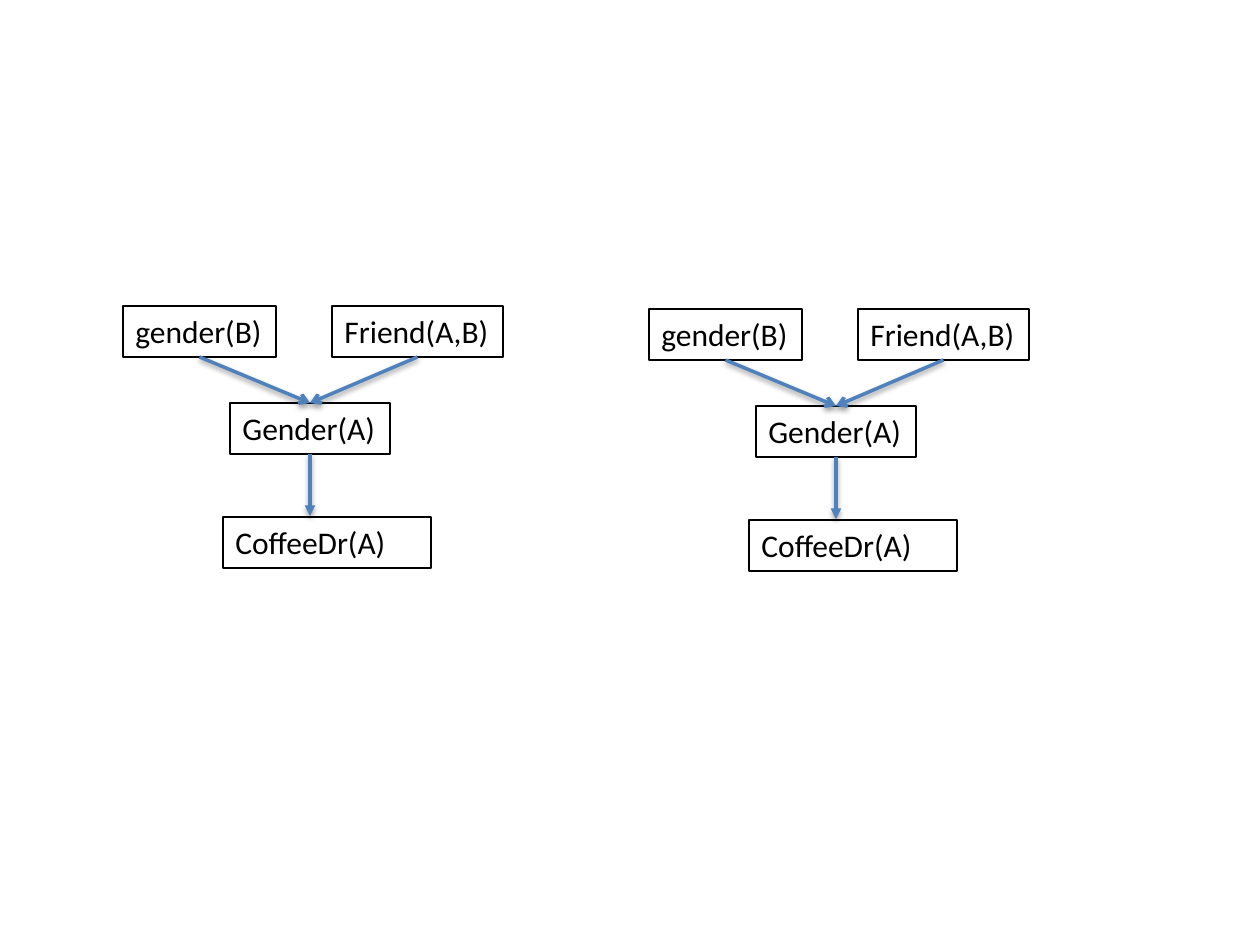
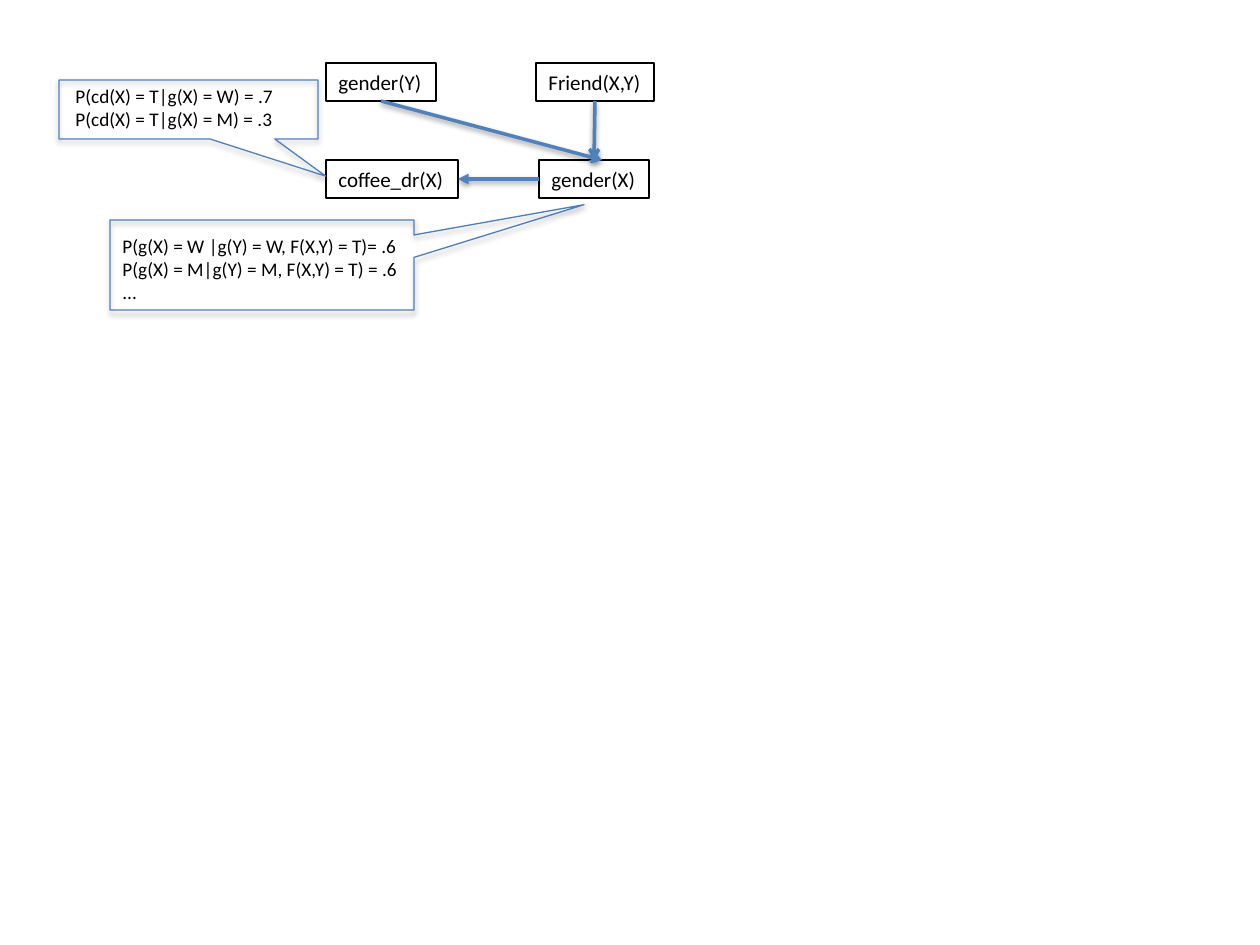
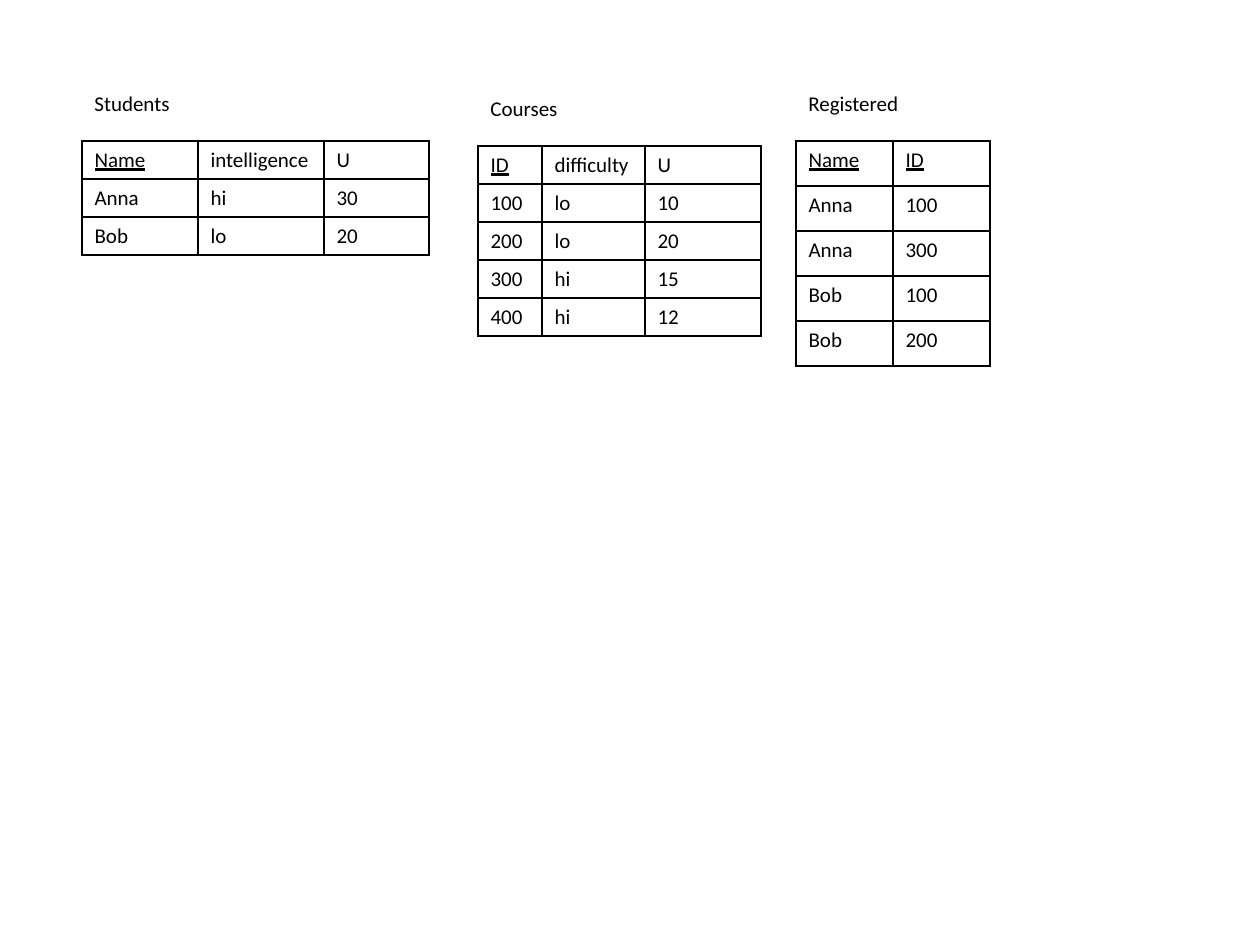
from lxml import etree
from pptx import Presentation
from pptx.dml.color import RGBColor
from pptx.enum.shapes import MSO_CONNECTOR, MSO_SHAPE
from pptx.enum.text import MSO_ANCHOR, MSO_AUTO_SIZE, PP_ALIGN
from pptx.oxml.ns import qn
from pptx.util import Emu, Pt

STRAIGHT = MSO_CONNECTOR.STRAIGHT
RECTANGLE = MSO_SHAPE.RECTANGLE
CALLOUT = MSO_SHAPE.RECTANGULAR_CALLOUT
TOP_ANCHOR = MSO_ANCHOR.TOP
FIT_SHAPE = MSO_AUTO_SIZE.SHAPE_TO_FIT_TEXT
LEFT_ALIGN = PP_ALIGN.LEFT

PX_PER_INCH = 126
FONT = "Calibri"
BLACK = "000000"
BLUE = "4F81BD"
CALLOUT_BLUE = "4B7EBC"
TOP, LEFT, BOTTOM, RIGHT = range(4)


def px(length):
    return Emu(round(length * 914400 / PX_PER_INCH))


def color(hex_string):
    return RGBColor.from_string(hex_string)


def write_text(text_frame, lines, size=12, underline=False, grow=True, wrap=True):
    """Fill a text frame with one paragraph per line."""
    if grow:
        text_frame.auto_size = FIT_SHAPE
        text_frame.word_wrap = wrap
        text_frame.vertical_anchor = TOP_ANCHOR
    for index, line in enumerate(lines):
        paragraph = text_frame.add_paragraph() if index else text_frame.paragraphs[0]
        paragraph.alignment = LEFT_ALIGN
        run = paragraph.add_run()
        run.text = line
        run.font.name = FONT
        run.font.size = Pt(size)
        run.font.underline = underline
        run.font.color.rgb = color(BLACK)


def set_line(line, hex_string, width):
    line.color.rgb = color(hex_string)
    line.width = Pt(width)


def add_shadow(shape, opacity, distance):
    """Give a shape with a set outline a soft shadow below it."""
    effects = etree.SubElement(shape._element.spPr, qn("a:effectLst"))
    shadow = etree.SubElement(effects, qn("a:outerShdw"), blurRad="40000",
                              dist=str(distance), dir="5400000", rotWithShape="0")
    shade = etree.SubElement(shadow, qn("a:srgbClr"), val=BLACK)
    etree.SubElement(shade, qn("a:alpha"), val=str(opacity * 1000))


def add_node(slide, text, left, top, width, height, size, wrap=False):
    node = slide.shapes.add_shape(RECTANGLE, px(left), px(top), px(width), px(height))
    node.shadow.inherit = False
    node.fill.background()
    set_line(node.line, BLACK, 0.75)
    write_text(node.text_frame, [text], size=size, wrap=wrap)
    return node


def add_arrow(slide, source, source_side, target=None, target_side=TOP,
              end=(0, 0), head="arrow"):
    """Draw an arrow from a node's side to another node, or to a free point."""
    arrow = slide.shapes.add_connector(STRAIGHT, 0, 0, px(end[0]), px(end[1]))
    arrow.begin_connect(source, source_side)
    if target is not None:
        arrow.end_connect(target, target_side)
    set_line(arrow.line, BLUE, 2)
    outline = arrow._element.spPr.find(qn("a:ln"))
    etree.SubElement(outline, qn("a:tailEnd"), type=head)
    add_shadow(arrow, 38, 20000)


def add_label(slide, lines, left, top, width, height, size=12):
    box = slide.shapes.add_textbox(px(left), px(top), px(width), px(height))
    write_text(box.text_frame, lines, size=size)


def add_callout(slide, left, top, width, height, pointer, line_color):
    callout = slide.shapes.add_shape(CALLOUT, px(left), px(top), px(width), px(height))
    callout.adjustments[0], callout.adjustments[1] = pointer
    callout.fill.background()
    set_line(callout.line, line_color, 0.75)
    add_shadow(callout, 35, 23000)


def set_borders(cell):
    properties = cell._tc.get_or_add_tcPr()
    for side in ("lnL", "lnR", "lnT", "lnB"):
        border = etree.SubElement(properties, qn(f"a:{side}"), w="12700")
        fill = etree.SubElement(border, qn("a:solidFill"))
        etree.SubElement(fill, qn("a:srgbClr"), val=BLACK)


def add_relation(slide, name, rows, keys, left, top, widths, row_height, label_width):
    """Draw a titled table whose key columns have underlined headings."""
    add_label(slide, [name], left, top - 57, label_width, 38)
    table = slide.shapes.add_table(len(rows), len(widths), px(left), px(top),
                                   px(sum(widths)), px(row_height * len(rows))).table
    table.first_row = table.horz_banding = False
    for column, width in zip(table.columns, widths):
        column.width = px(width)
    for row_index, values in enumerate(rows):
        table.rows[row_index].height = px(row_height)
        for column_index, value in enumerate(values):
            cell = table.cell(row_index, column_index)
            set_borders(cell)
            cell.fill.background()
            write_text(cell.text_frame, [value], grow=False,
                       underline=row_index == 0 and column_index < keys)


def add_network(slide, left, top):
    """Draw the four-node network from its top left corner."""
    height, size = 51, 18
    coffee = (left + 100, top + 211)
    add_node(slide, "CoffeeDr(A)", *coffee, 208, height, size, wrap=True)
    friend = add_node(slide, "Friend(A,B)", left + 209, top, 171, height, size)
    gender_a = add_node(slide, "Gender(A)", left + 107, top + 97, 160, height, size)
    gender_b = add_node(slide, "gender(B)", left, top, 153, height, size)
    add_arrow(slide, friend, BOTTOM, gender_a)
    add_arrow(slide, gender_a, BOTTOM, end=(coffee[0] + 87, coffee[1] - 1), head="triangle")
    add_arrow(slide, gender_b, BOTTOM, gender_a)


def build_networks(slide):
    add_network(slide, 123, 306)
    add_network(slide, 649, 309)


def build_probabilities(slide):
    height, size = 38, 12
    upper, lower = 63, 160
    coffee = add_node(slide, "coffee_dr(X)", 326, lower, 132, height, size)
    friend = add_node(slide, "Friend(X,Y)", 536, upper, 118, height, size)
    gender_x = add_node(slide, "gender(X)", 539, lower, 110, height, size)
    gender_y = add_node(slide, "gender(Y)", 326, upper, 110, height, size)
    add_arrow(slide, friend, BOTTOM, gender_x)
    add_arrow(slide, gender_x, LEFT, coffee, RIGHT, head="triangle")
    add_arrow(slide, gender_y, BOTTOM, end=(602, lower))

    # Conditional probabilities
    add_label(slide, ["P(g(X) = W |g(Y) = W, F(X,Y) = T)= .6",
                      "P(g(X) = M|g(Y) = M, F(X,Y) = T) = .6",
                      "..."], 110, 228, 392, 83, size=11)
    add_callout(slide, 110, 220, 304, 90, (1.06, -0.67), CALLOUT_BLUE)
    add_label(slide, ["P(cd(X) = T|g(X) = W) = .7",
                      "P(cd(X) = T|g(X) = M) = .3"], 63, 78, 304, 59, size=11)
    add_callout(slide, 59, 80, 259, 59, (0.53, 1.13), BLUE)


def build_relations(slide):
    students = [("Name", "intelligence", "U"), ("Anna", "hi", "30"), ("Bob", "lo", "20")]
    courses = [("ID", "difficulty", "U"), ("100", "lo", "10"), ("200", "lo", "20"),
               ("300", "hi", "15"), ("400", "hi", "12")]
    registered = [("Name", "ID"), ("Anna", "100"), ("Anna", "300"),
                  ("Bob", "100"), ("Bob", "200")]
    add_relation(slide, "Students", students, 1, 82, 141, (116, 126, 105), 38, 374)
    add_relation(slide, "Courses", courses, 1, 478, 146, (64, 103, 116), 38, 374)
    add_relation(slide, "Registered", registered, 2, 796, 141, (97, 97), 45, 249)


def main():
    presentation = Presentation()
    presentation.slide_width = px(1260)
    presentation.slide_height = px(945)
    blank = presentation.slide_layouts[6]
    for build in (build_networks, build_probabilities, build_relations):
        build(presentation.slides.add_slide(blank))
    presentation.save("out.pptx")


if __name__ == "__main__":
    main()
